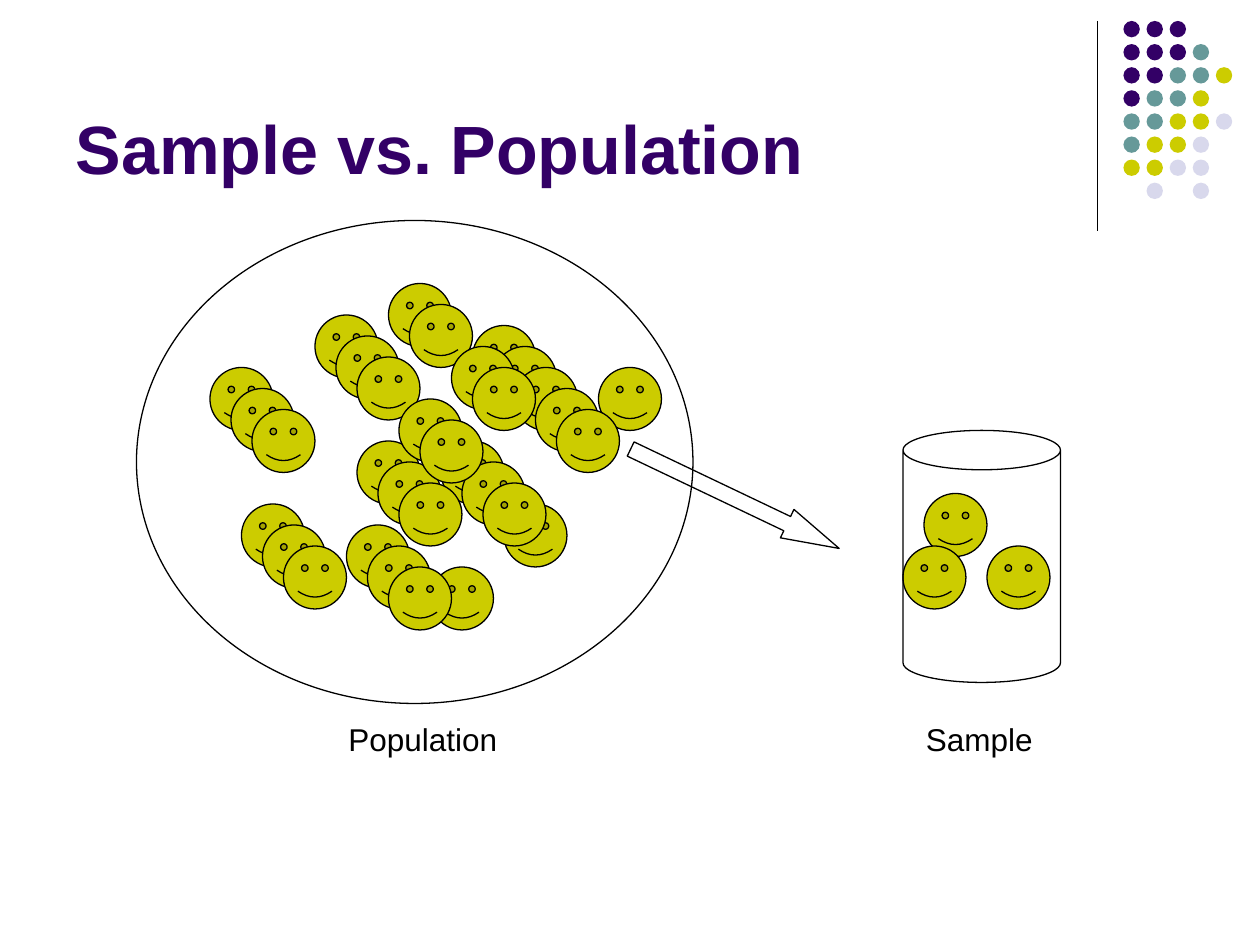
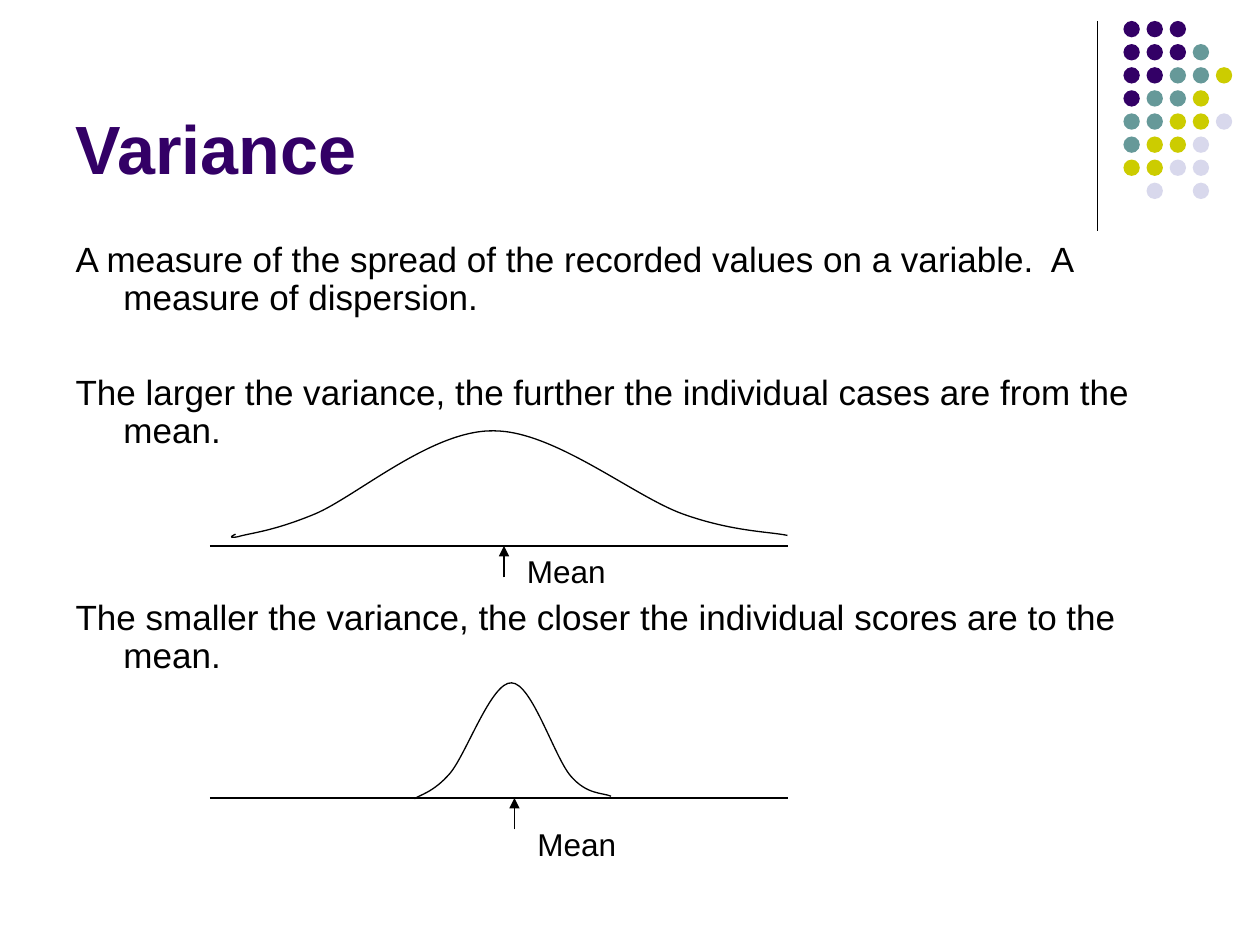
"""Build two statistics slides: sample versus population, and variance."""
import dataclasses
import typing

import pptx
import pptx.dml.color
import pptx.enum.shapes
import pptx.enum.text
import pptx.oxml
import pptx.util

COLORS = {"ink": "000000", "purple": "330066", "teal": "669999", "yellow": "CCCC00", "lilac": "D8D8EC"}
FONT = "Arial"
SLIDE_WIDTH, SLIDE_HEIGHT = pptx.util.Inches(10), pptx.util.Inches(7.5)
COLUMNS = 120
UNIT = SLIDE_WIDTH // COLUMNS
HUNDREDTH_INCH = pptx.util.Inches(0.01)
SHAPES = pptx.enum.shapes.MSO_SHAPE

DOT_COLORS = {"P": "purple", "T": "teal", "Y": "yellow", "L": "lilac"}
DOT_ROWS = ("PPP", "PPPT", "PPTTY", "PTTY", "TTYYL", "TYYL", "YYLL", " L L")
DOT_PITCH, DOT_SIZE = 2.2, 1.56
FACE_SIZE, FACE_STEP = 6, 2


@dataclasses.dataclass(frozen=True)
class Box:
    """Rectangle in grid columns and rows."""

    column: float
    row: float
    width: float
    height: float

    def lengths(self) -> list[int]:
        """Return the left, top, width and height for a shape."""
        return [grid(value) for value in dataclasses.astuple(self)]


@dataclasses.dataclass(frozen=True)
class FaceChain:
    """Faces that step diagonally down to the right."""

    column: float
    row: float
    count: int = 1


@dataclasses.dataclass(frozen=True)
class Distribution:
    """Bell curve in hundredths of an inch, with its axis, mean arrow and label."""

    curve: tuple[tuple[int, int], ...]
    axis_row: float
    mean_column: float
    label: Box


POPULATION_FACES = (
    FaceChain(57, 35), FaceChain(48, 48), FaceChain(41, 54),
    FaceChain(30, 30, 3), FaceChain(37, 27, 2), FaceChain(42, 42, 3),
    FaceChain(34, 42, 3), FaceChain(38, 38, 2), FaceChain(45, 31, 5),
    FaceChain(43, 33, 2), FaceChain(23, 48, 3), FaceChain(20, 35, 3),
    FaceChain(33, 50, 3),
)
SAMPLE_FACES = (FaceChain(88, 47), FaceChain(94, 52), FaceChain(86, 52))

VARIANCE_TEXT = (
    ("A measure of the spread of the recorded values on a variable.  A measure of dispersion.", 5),
    ("The larger the variance, the further the individual cases are from the mean.", 32.5),
    ("The smaller the variance, the closer the individual scores are to the mean.", 85.5),
)
DISTRIBUTIONS = (
    Distribution(
        ((187, 424), (187, 424), (178, 428), (189, 426), (199, 423), (216, 422), (250, 408),
         (283, 394), (343, 341), (392, 342), (440, 342), (503, 394), (542, 408),
         (581, 422), (611, 422), (625, 425)),
        52, 48, Box(49, 52, 18, 4.8)),
    Distribution(
        ((329, 634), (333, 631), (344, 629), (357, 614), (370, 599), (390, 541), (406, 542),
         (422, 542), (440, 601), (453, 616), (466, 631), (478, 629), (485, 632)),
        76, 49, Box(50, 78, 18, 4.8)),
)


def grid(value: float) -> int:
    """Convert grid units to a length."""
    return pptx.util.Emu(round(value * UNIT))


def color(name: str) -> pptx.dml.color.RGBColor:
    """Look up a named colour."""
    return pptx.dml.color.RGBColor.from_string(COLORS[name])


def drawing_element(tag: str, **attributes: str) -> typing.Any:
    """Create a DrawingML element."""
    element = pptx.oxml.parse_xml(
        f'<a:{tag} xmlns:a="http://schemas.openxmlformats.org/drawingml/2006/main"/>')
    for name, value in attributes.items():
        element.set(name, value)
    return element


def style_shape(shape: typing.Any, fill: str | None = None, outlined: bool = True) -> None:
    """Apply a flat fill and a thin outline."""
    shape.shadow.inherit = False
    if fill:
        shape.fill.solid()
        shape.fill.fore_color.rgb = color(fill)
    else:
        shape.fill.background()
    if outlined:
        shape.line.color.rgb = color("ink")
        shape.line.width = pptx.util.Pt(0.75)
    else:
        shape.line.fill.background()


def style_text(text_frame: typing.Any, size: float, name: str = "ink", bold: bool = False) -> None:
    """Format every run and align it left."""
    for paragraph in text_frame.paragraphs:
        paragraph.alignment = pptx.enum.text.PP_ALIGN.LEFT
        for run in paragraph.runs:
            run.font.name = FONT
            run.font.size = pptx.util.Pt(size)
            run.font.bold = bold
            run.font.color.rgb = color(name)


def place(shape: typing.Any, box: Box) -> None:
    """Move and size a placeholder."""
    shape.left, shape.top, shape.width, shape.height = box.lengths()


def add_line(slide: typing.Any, start: tuple[float, float], end: tuple[float, float],
             arrow: bool = False) -> typing.Any:
    """Draw a thin line, optionally with an arrowhead at its end."""
    connector = slide.shapes.add_connector(
        pptx.enum.shapes.MSO_CONNECTOR.STRAIGHT, *(grid(value) for value in (*start, *end)))
    connector.line.color.rgb = color("ink")
    connector.line.width = pptx.util.Pt(0.75)
    if arrow:
        connector.line._get_or_add_ln().append(drawing_element("tailEnd", type="triangle"))
    connector.element.spPr.append(drawing_element("effectLst"))
    return connector


def add_label(slide: typing.Any, text: str, box: Box) -> None:
    """Add a caption."""
    text_frame = slide.shapes.add_textbox(*box.lengths()).text_frame
    text_frame.word_wrap = True
    text_frame.auto_size = pptx.enum.text.MSO_AUTO_SIZE.SHAPE_TO_FIT_TEXT
    text_frame.text = text
    text_frame.paragraphs[0].space_before = pptx.util.Pt(11.2)
    style_text(text_frame, 18)


def add_faces(slide: typing.Any, chains: tuple[FaceChain, ...]) -> None:
    """Draw each chain of smiling faces."""
    for chain in chains:
        for index in range(chain.count):
            offset = index * FACE_STEP
            box = Box(chain.column + offset, chain.row + offset, FACE_SIZE, FACE_SIZE)
            face = slide.shapes.add_shape(SHAPES.SMILEY_FACE, *box.lengths())
            face.adjustments[0] = 0.093
            style_shape(face, "yellow")


def add_curve(slide: typing.Any, points: tuple[tuple[int, int], ...]) -> None:
    """Draw a smooth open outline from cubic control points."""
    builder = slide.shapes.build_freeform(*points[0], scale=HUNDREDTH_INCH)
    builder.add_line_segments(points[1:], close=False)
    shape = builder.convert_to_shape()
    outline = shape.element.xpath(".//a:path")[0]
    segments = outline.xpath("a:lnTo")
    for index in range(0, len(segments), 3):
        bezier = drawing_element("cubicBezTo")
        for segment in segments[index:index + 3]:
            bezier.append(segment[0])
            outline.remove(segment)
        outline.append(bezier)
    style_shape(shape)


def add_master_decoration(presentation: typing.Any, slide: typing.Any) -> None:
    """Draw the corner rule and dots, and hand them to the slide master."""
    decoration = [add_line(slide, (104.5, 2), (104.5, 22))]
    for row, letters in enumerate(DOT_ROWS):
        for column, letter in enumerate(letters):
            if letter in DOT_COLORS:
                box = Box(107 + column * DOT_PITCH, 2 + row * DOT_PITCH, DOT_SIZE, DOT_SIZE)
                dot = slide.shapes.add_shape(SHAPES.OVAL, *box.lengths())
                style_shape(dot, DOT_COLORS[letter], outlined=False)
                decoration.append(dot)
    for identifier, shape in enumerate(decoration, start=100):
        shape.element.xpath(".//p:cNvPr")[0].set("id", str(identifier))
        presentation.slide_master.shapes.element.append(shape.element)


def add_slide(presentation: typing.Any, layout_index: int, title: str) -> typing.Any:
    """Add a slide with the shared title style."""
    slide = presentation.slides.add_slide(presentation.slide_layouts[layout_index])
    place(slide.shapes.title, Box(6, 1.56, 99, 17))
    text_frame = slide.shapes.title.text_frame
    text_frame.text = title
    text_frame.word_wrap = True
    text_frame.auto_size = pptx.enum.text.MSO_AUTO_SIZE.NONE
    text_frame.vertical_anchor = pptx.enum.text.MSO_ANCHOR.BOTTOM
    style_text(text_frame, 39, "purple", bold=True)
    return slide


def draw_population(slide: typing.Any) -> None:
    """Draw the population, the sample and the arrow between them."""
    add_label(slide, "Population", Box(32, 68, 22, 4.8))
    style_shape(slide.shapes.add_shape(SHAPES.OVAL, *Box(13, 21, 53, 46).lengths()))
    add_faces(slide, POPULATION_FACES + SAMPLE_FACES)
    arrow = slide.shapes.add_shape(SHAPES.LEFT_ARROW, *Box(59, 46, 22, 3).lengths())
    arrow.adjustments[1] = 1.83
    arrow.rotation = 205.5
    style_shape(arrow)
    add_label(slide, "Sample", Box(87, 68, 13, 4.8))
    style_shape(slide.shapes.add_shape(SHAPES.CAN, *Box(86, 41, 15, 24).lengths()))


def draw_variance(slide: typing.Any) -> None:
    """Write the definition and draw both distributions."""
    body = slide.placeholders[1]
    place(body, Box(6, 22.5, 108, 57.8))
    text_frame = body.text_frame
    text_frame.text = "\n".join(text for text, _ in VARIANCE_TEXT)
    text_frame.auto_size = pptx.enum.text.MSO_AUTO_SIZE.NONE
    text_frame.vertical_anchor = pptx.enum.text.MSO_ANCHOR.TOP
    style_text(text_frame, 20)
    hanging = pptx.util.Inches(0.38)
    for paragraph, (_, gap) in zip(text_frame.paragraphs, VARIANCE_TEXT):
        paragraph.line_spacing = 0.9
        paragraph.space_before = pptx.util.Pt(gap)
        properties = paragraph._p.get_or_add_pPr()
        properties.set("marL", str(hanging))
        properties.set("indent", str(-hanging))
        properties.append(drawing_element("buNone"))
    for distribution in DISTRIBUTIONS:
        row, column = distribution.axis_row, distribution.mean_column
        add_curve(slide, distribution.curve)
        add_line(slide, (20, row), (75, row))
        add_line(slide, (column, row + 3), (column, row), arrow=True)
        add_label(slide, "Mean", distribution.label)


def main() -> None:
    """Build and save the presentation."""
    presentation = pptx.Presentation()
    presentation.slide_width, presentation.slide_height = SLIDE_WIDTH, SLIDE_HEIGHT
    population_slide = add_slide(presentation, 5, "Sample vs. Population")
    add_master_decoration(presentation, population_slide)
    draw_population(population_slide)
    draw_variance(add_slide(presentation, 1, "Variance"))
    presentation.save("out.pptx")


if __name__ == "__main__":
    main()
